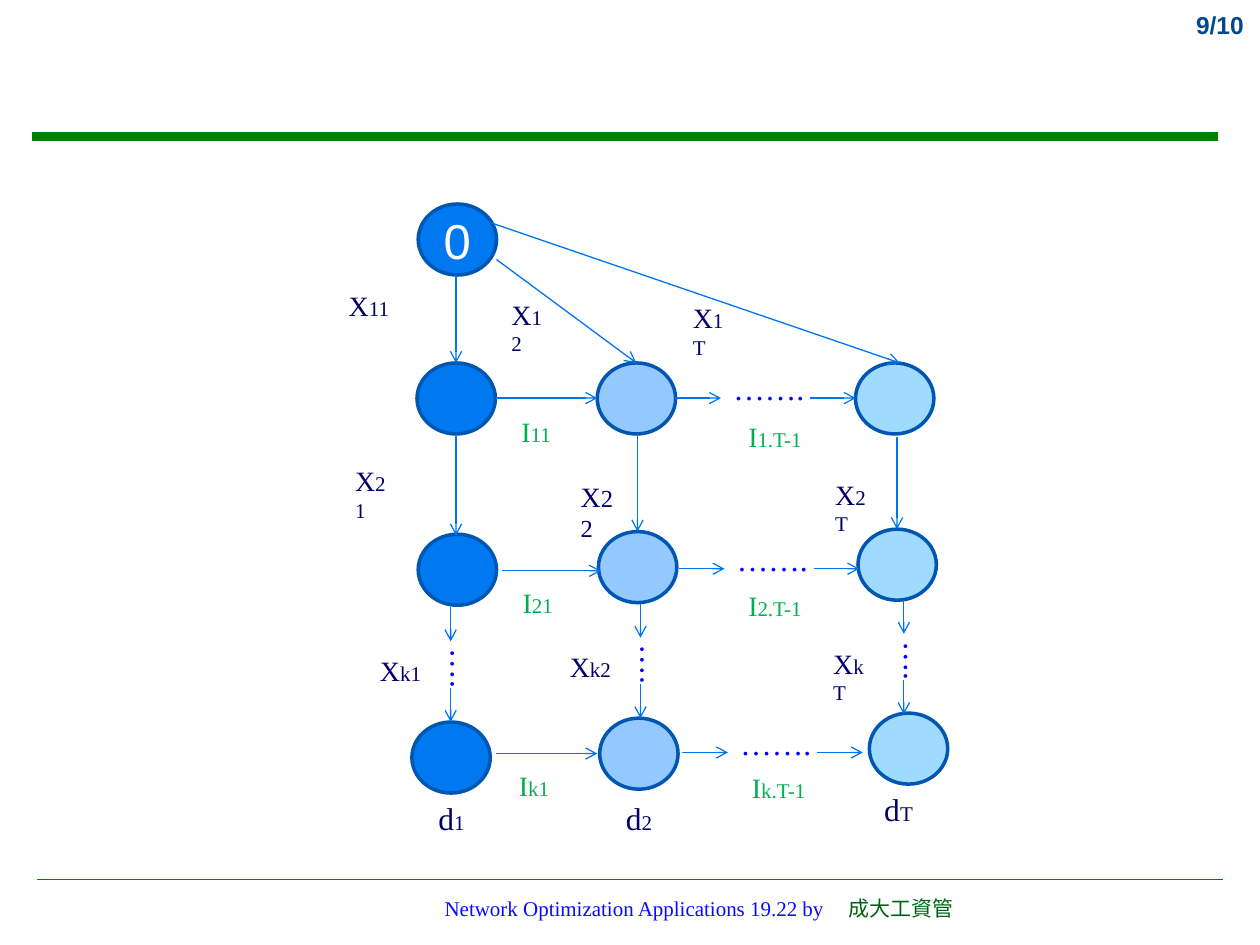
from pptx import Presentation
from pptx.util import Pt
from pptx.dml.color import RGBColor as RGB
from pptx.enum.shapes import MSO_CONNECTOR as LINE, MSO_SHAPE as SHAPE
from pptx.enum.text import MSO_ANCHOR as ANCHOR, PP_ALIGN as ALIGN
from lxml.etree import SubElement
from pptx.oxml.ns import qn

GREEN = RGB(0x00, 0x80, 0x00)
PAGE = RGB(0x00, 0x49, 0x92)
FOOT = RGB(0x0A, 0x0A, 0xFF)
DEPT = RGB(0x01, 0x63, 0x11)
EDGE = RGB(0x00, 0x56, 0xB0)
ARROW = RGB(0x00, 0x75, 0xF0)
DEEP = RGB(0x00, 0x78, 0xF0)
MID = RGB(0x93, 0xC9, 0xFF)
PALE = RGB(0x9E, 0xDB, 0xFF)
NAVY = RGB(0x00, 0x00, 0x66)
STOCK = RGB(0x00, 0xB0, 0x50)
DOTS = RGB(0x00, 0x00, 0xFF)
WHITE = RGB(0xFF, 0xFF, 0xFF)
SERIF, SANS = "Times New Roman", "Arial"

prs = Presentation()
prs.slide_width, prs.slide_height = Pt(720), Pt(540)
slide = prs.slides.add_slide(prs.slide_layouts[6])
shapes = slide.shapes


def add_line(x1, y1, x2, y2, color=ARROW, width=0.75, head=True):
    line = shapes.add_connector(LINE.STRAIGHT, Pt(x1), Pt(y1), Pt(x2), Pt(y2))
    line.line.color.rgb = color
    line.line.width = Pt(width)
    if head:
        SubElement(line.line._get_or_add_ln(), qn("a:tailEnd"), type="arrow")
    SubElement(line._element.spPr, qn("a:effectLst"))


def add_text(x, y, w, h, parts, wrap=False, font=SERIF):
    box = shapes.add_textbox(Pt(x), Pt(y), Pt(w), Pt(h))
    box.text_frame.word_wrap = wrap
    para = box.text_frame.paragraphs[0]
    for text, size, color in parts:
        run = para.add_run()
        run.text = text
        run.font.size = Pt(size)
        run.font.name = font
        run.font.color.rgb = color
    return box


add_line(18, 77.8, 696.2, 77.8, GREEN, 5.25, False)
add_line(20.9, 502.6, 699.1, 502.6, GREEN, 1, False)

page = add_text(652.3, 2.2, 65.5, 41, [("9/10", 14, PAGE)], True, SANS)
para = page.text_frame.paragraphs[0]
para.alignment = ALIGN.RIGHT
para.runs[0].font.bold = True

foot = add_text(247, 508.3, 460, 28.8, [
    ("Network Optimization Applications 19.22 by\t", 12, FOOT),
    ("成大工資管", 12, DEPT)], True)
props = foot.text_frame.paragraphs[0]._p.get_or_add_pPr()
tabs = SubElement(props, qn("a:tabLst"))
SubElement(tabs, qn("a:tab"), pos=str(Pt(231)), algn="l")

nodes = [
    ("0", 239, 116.6, DEEP),
    ("", 238.3, 207.4, DEEP), ("", 341.3, 207.4, MID), ("", 488.9, 207.4, PALE),
    ("", 239, 305.3, DEEP), ("", 342, 303.8, MID), ("", 490.3, 302.4, PALE),
    ("", 235.4, 412.6, DEEP), ("", 342.7, 410.4, MID), ("", 496.8, 407.5, PALE),
]
for name, x, y, color in nodes:
    node = shapes.add_shape(SHAPE.OVAL, Pt(x), Pt(y), Pt(44.8), Pt(40.6))
    node.shadow.inherit = False
    node.fill.solid()
    node.fill.fore_color.rgb = color
    node.line.color.rgb = EDGE
    node.line.width = Pt(2)
    if name:
        node.text_frame.text = name
        node.text_frame.vertical_anchor = ANCHOR.MIDDLE
        para = node.text_frame.paragraphs[0]
        para.alignment = ALIGN.CENTER
        para.font.size = Pt(28)
        para.font.name = SANS
        para.font.color.rgb = WHITE

for ends in [
    (260.6, 157, 260.6, 207.4), (283.7, 148.3, 363.6, 207.4),
    (280.8, 127.4, 514.1, 207.4), (260.6, 249.1, 260.6, 306),
    (364.3, 247.7, 364.3, 303.8), (512.6, 249.8, 512.6, 302.4),
    (283.7, 227.5, 341.3, 227.5), (286.6, 326.2, 343.4, 326.2),
    (283.7, 430.6, 341.3, 430.6),
]:
    add_line(*ends)

for x, y in [(386, 227.5), (388, 325), (390, 430)]:
    add_line(x, y, x + 26, y)
    add_text(x + 26, y - 20, 54.7, 28.8, [("…….", 18, DOTS)])
    add_line(x + 77, y, x + 103, y)

for sub, x, y in [("k1", 257.5, 347), ("k2", 366, 344.9), ("kT", 516.5, 342.7)]:
    add_line(x, y, x, y + 19.5)
    dots = add_text(x - 18, y + 27.4, 50.4, 28.8, [("….", 18, DOTS)], True)
    dots.rotation = 90
    add_line(x, y + 46, x, y + 65.5)
    add_text(x - 47.5, y + 23, 38, 26.6, [("X", 16, NAVY), (sub, 12, NAVY)])

for sub, x, y, w, size in [
    ("11", 192.2, 161.3, 37.5, 12), ("12", 285.1, 166.3, 37.5, 12),
    ("1T", 388.8, 168.5, 38.9, 12), ("21", 195.8, 261.4, 37.5, 12),
    ("22", 324.7, 270.7, 39.6, 14), ("2T", 470.2, 269.3, 38.9, 12),
]:
    add_text(x, y, w, 26.6, [("X", 16, NAVY), (sub, size, NAVY)])

for sub, x, y, w in [
    ("11", 290.9, 233.3, 31.7), ("1.T-1", 420.5, 236.2, 46),
    ("21", 291.6, 331.2, 31.7), ("2.T-1", 420.5, 332.6, 46),
    ("k1", 289.4, 435.6, 31.7), ("k.T-1", 422.6, 437, 46),
]:
    add_text(x, y, w, 26.6, [("I", 16, STOCK), (sub, 12, STOCK)])

for sub, x, y, w, wrap in [
    ("1", 243.4, 452.9, 29.5, False), ("2", 350.6, 452.9, 29.5, False),
    ("T", 498.2, 447.8, 41.8, True),
]:
    add_text(x, y, w, 28.8, [("d", 18, NAVY), (sub, 12, NAVY)], wrap)

prs.save("out.pptx")
